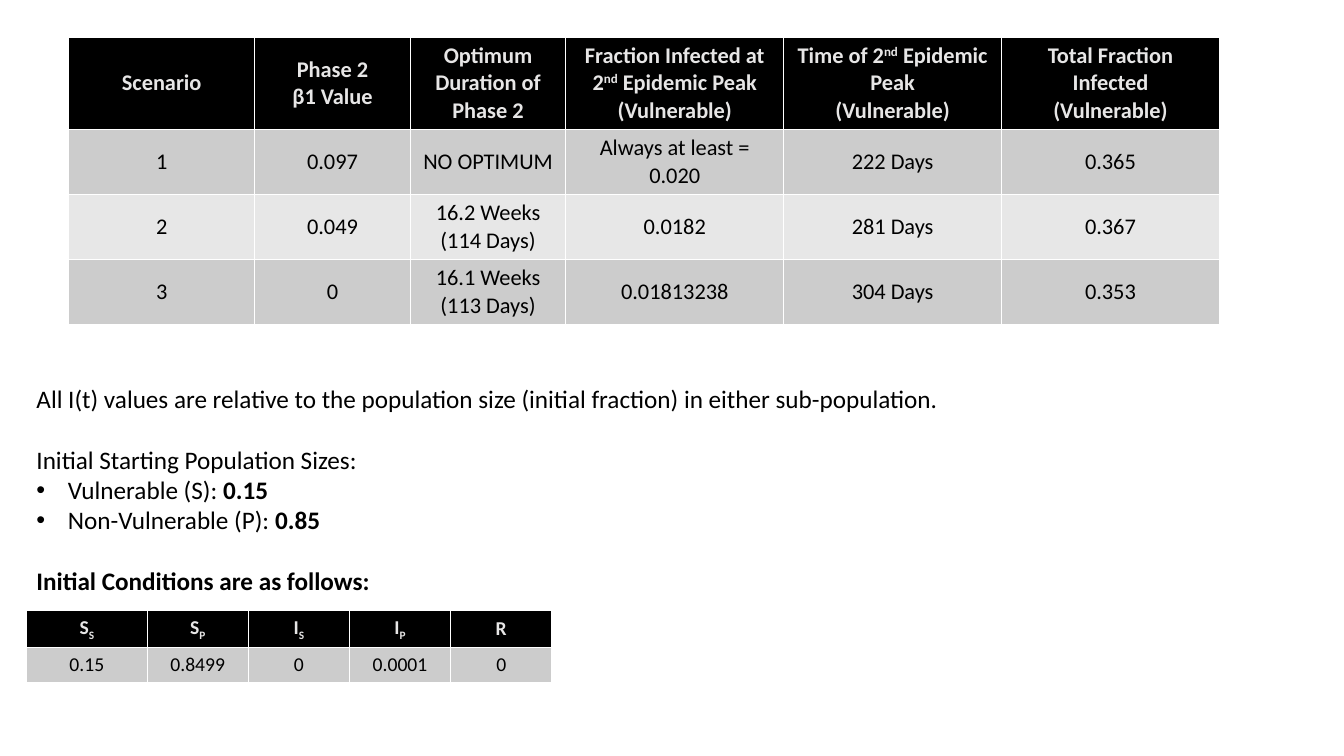
from pptx import Presentation
from pptx import util as u
from pptx.dml.color import RGBColor
from pptx.enum import text as t
from pptx.oxml.ns import qn
from lxml import etree

THEME = dict(font="Calibri", black="000000", pale="E7E6E6", line="FFFFFF",
             bands=("CCCCCC", "E7E7E7"), main=16, body=18, small=14)

RESULTS = dict(
    left=1.73, top=0.93, size=THEME["main"],
    cols=[4.69, 3.92, 3.92, 5.49, 5.49, 5.49], rows=[2.31, 1.64, 1.64, 1.64],
    cells=[
        ["Scenario", "Phase 2\nβ1 Value", "Optimum Duration of Phase 2",
         "Fraction Infected at 2|^nd| Epidemic Peak\n(Vulnerable)",
         "Time of 2|^nd| Epidemic Peak\n(Vulnerable)",
         "Total Fraction Infected\n(Vulnerable)"],
        ["1", "0.097", "NO OPTIMUM", "Always at least = 0.020", "222 Days", "0.365"],
        ["2", "0.049", "16.2 Weeks\n(114 Days)", "0.0182", "281 Days", "0.367"],
        ["3", "0", "16.1 Weeks\n(113 Days)", "0.01813238", "304 Days", "0.353"],
    ])

START = dict(
    left=0.67, top=15.39, size=THEME["small"],
    cols=[3.04, 2.55, 2.55, 2.55, 2.55], rows=[0.92, 0.87],
    cells=[["S|_S", "S|_P", "I|_S", "I|_P", "R"],
           ["0.15", "0.8499", "0", "0.0001", "0"]])

NOTES = [
    ("All I(t) values are relative to the population size (initial fraction)"
     " in either sub-population.", {}),
    ("Initial Starting Population Sizes:", dict(gap=22)),
    ("Vulnerable (S): |*0.15", dict(bullet=True)),
    ("Non-Vulnerable (P): |*0.85", dict(bullet=True)),
    ("Initial Conditions are as follows:", dict(gap=22, bold=True)),
]
SHIFT = {"^": "30000", "_": "-25000"}


def write(para, words, size, color=THEME["black"], bold=False, align=None,
          gap=0, bullet=False):
    para.alignment = align
    para.space_before = u.Pt(gap)
    if bullet:
        props = para._p.get_or_add_pPr()
        props.set("marL", str(u.Cm(0.79)))
        props.set("indent", str(-u.Cm(0.79)))
        etree.SubElement(props, qn("a:buFont")).set("typeface", "Arial")
        etree.SubElement(props, qn("a:buChar")).set("char", "•")
    for part in words.split("|"):
        mark = part[0] if part[0] in "^_*" else ""
        run = para.add_run()
        run.text = part[len(mark):]
        font = run.font
        font.name, font.size = THEME["font"], u.Pt(size)
        font.bold = bold or mark == "*"
        font.color.rgb = RGBColor.from_string(color)
        if mark in SHIFT:
            run._r.get_or_add_rPr().set("baseline", SHIFT[mark])


def edge(cell):
    props = cell._tc.get_or_add_tcPr()
    for side in ("lnL", "lnR", "lnT", "lnB"):
        line = etree.SubElement(props, qn("a:" + side), w=str(u.Pt(1)))
        fill = etree.SubElement(line, qn("a:solidFill"))
        etree.SubElement(fill, qn("a:srgbClr"), val=THEME["line"])


def grid(slide, left, top, size, cols, rows, cells):
    table = slide.shapes.add_table(
        len(rows), len(cols), u.Cm(left), u.Cm(top),
        u.Cm(sum(cols)), u.Cm(sum(rows))).table
    for col, width in zip(table.columns, cols):
        col.width = u.Cm(width)
    for r, (row, high) in enumerate(zip(cells, rows)):
        table.rows[r].height = u.Cm(high)
        head = r == 0
        shade = THEME["black"] if head else THEME["bands"][(r - 1) % 2]
        ink = THEME["pale"] if head else THEME["black"]
        for c, words in enumerate(row):
            cell = table.cell(r, c)
            edge(cell)
            cell.fill.solid()
            cell.fill.fore_color.rgb = RGBColor.from_string(shade)
            cell.vertical_anchor = t.MSO_ANCHOR.MIDDLE
            frame = cell.text_frame
            for i, line in enumerate(words.split("\n")):
                para = frame.add_paragraph() if i else frame.paragraphs[0]
                write(para, line, size, color=ink, bold=head,
                      align=t.PP_ALIGN.CENTER)


def main():
    deck = Presentation()
    deck.slide_width, deck.slide_height = u.Cm(33.87), u.Cm(19.05)
    slide = deck.slides.add_slide(deck.slide_layouts[6])
    grid(slide, **RESULTS)
    box = slide.shapes.add_textbox(u.Cm(0.67), u.Cm(9.53), u.Cm(24.3), u.Cm(5.64))
    frame = box.text_frame
    frame.word_wrap = True
    for i, (words, form) in enumerate(NOTES):
        para = frame.add_paragraph() if i else frame.paragraphs[0]
        write(para, words, THEME["body"], **form)
    grid(slide, **START)
    deck.save("out.pptx")


if __name__ == "__main__":
    main()
